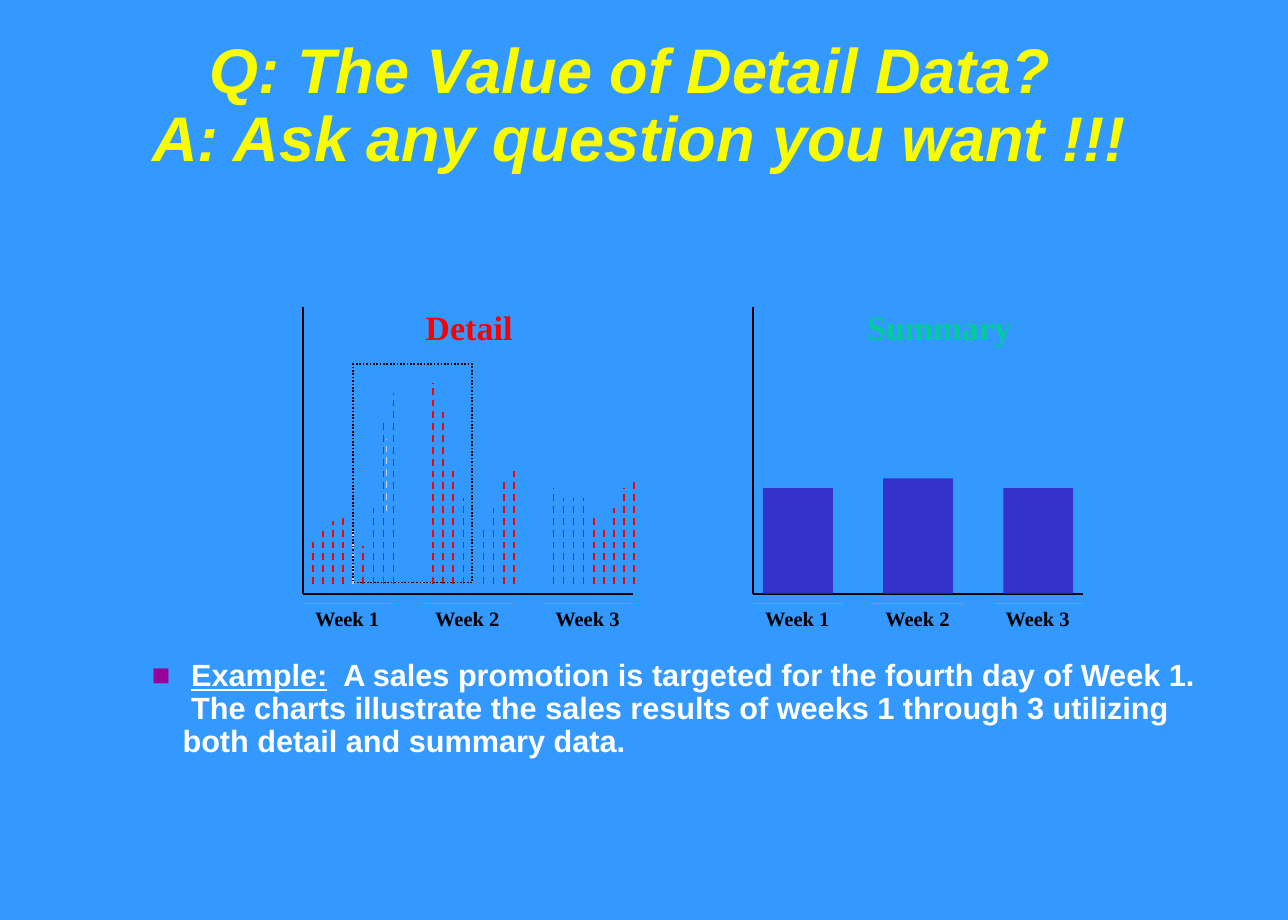
from pptx import Presentation
from pptx.dml.color import RGBColor
from pptx.enum.dml import MSO_LINE
from pptx.enum.shapes import MSO_CONNECTOR, MSO_SHAPE
from pptx.enum.text import MSO_ANCHOR, PP_ALIGN
from pptx.oxml.ns import qn
from pptx.util import Inches, Pt
from lxml.etree import SubElement

SKY = RGBColor(0x33, 0x99, 0xFF)
YELLOW = RGBColor(0xFA, 0xFD, 0x00)
WHITE = RGBColor(0xFF, 0xFF, 0xFF)
BLACK = RGBColor(0x00, 0x00, 0x00)
GRAY = RGBColor(0x96, 0x96, 0x96)
RED = RGBColor(0xFA, 0x00, 0x00)
LILAC = RGBColor(0xCC, 0xCC, 0xFF)
GREEN = RGBColor(0x00, 0xCC, 0x99)
BLUE = RGBColor(0x33, 0x33, 0xCC)

deck = Presentation()
deck.slide_width, deck.slide_height = Inches(10.5), Inches(7.5)
page = deck.slides.add_slide(deck.slide_layouts[6])
page.background.fill.solid()
page.background.fill.fore_color.rgb = SKY


def add_line(x1, y1, x2, y2, color, dash=None):
    line = page.shapes.add_connector(
        MSO_CONNECTOR.STRAIGHT, Inches(x1), Inches(y1), Inches(x2), Inches(y2))
    line.line.color.rgb = color
    line.line.width = Pt(1)
    if dash:
        line.line.dash_style = dash
    SubElement(line._element.spPr, qn("a:effectLst"))


def add_text(text, left, top, width, height, font, size, color, wrap=False):
    box = page.shapes.add_textbox(Inches(left), Inches(top), Inches(width), Inches(height))
    box.text_frame.word_wrap = wrap
    para = box.text_frame.paragraphs[0]
    para.text = text
    para.font.name = font
    para.font.size = Pt(size)
    para.font.bold = True
    para.font.color.rgb = color
    return box, para


# Title
title, para = add_text("Q: The Value of Detail Data? \vA: Ask any question you want !!!",
                       0.42, 0.42, 9.58, 0.9, "Arial", 37, YELLOW, wrap=True)
title.text_frame.vertical_anchor = MSO_ANCHOR.MIDDLE
para.alignment = PP_ALIGN.CENTER
para.line_spacing = 0.9
para.font.italic = True

# Example paragraph with a square bullet
example, para = add_text(" ", 1.14, 5.33, 8.78, 1, "Arial", 18, WHITE, wrap=True)
para.line_spacing = 0.9
para.space_before = Pt(6.8)
span = para.add_run()
span.text = "Example:"
span.font.underline = True
span = para.add_run()
span.text = ("  A sales promotion is targeted for the fourth day of Week 1.  "
             " The charts illustrate the sales results of weeks 1 through 3 utilizing "
             "both detail and summary data.")
props = para._p.get_or_add_pPr()
props.set("marL", str(Inches(0.25)))
props.set("indent", str(Inches(-0.25)))
bullet_color = SubElement(props, qn("a:buClr"))
SubElement(bullet_color, qn("a:srgbClr")).set("val", "990099")
SubElement(props, qn("a:buFont")).set("typeface", "Arial")
SubElement(props, qn("a:buChar")).set("char", "■")
props.append(props.find(qn("a:defRPr")))  # schema order: after the bullet

# Axes, week rules and week labels of both charts
DETAIL_LEFT, SUMMARY_LEFT = 2.47, 6.14
AXIS_TOP, AXIS_Y, AXIS_LENGTH = 2.5, 4.84, 2.69
WEEK_STEP, WEEK_WIDTH = 0.98, 0.73
for chart_left in (DETAIL_LEFT, SUMMARY_LEFT):
    add_line(chart_left, AXIS_TOP, chart_left, AXIS_Y, BLACK)
    add_line(chart_left, AXIS_Y, chart_left + AXIS_LENGTH, AXIS_Y, BLACK)
    for week in range(3):
        left = chart_left + week * WEEK_STEP
        add_line(left, 4.92, left + WEEK_WIDTH, 4.92, GRAY)
        add_text(f"Week {week + 1}", left, 4.89, WEEK_WIDTH, 0.3,
                 "Times New Roman", 12, BLACK)

# Chart headings
add_text("Detail", 3.37, 2.45, 0.91, 0.43, "Times New Roman", 20, RED)
add_text("Summary", 6.97, 2.45, 1.38, 0.43, "Times New Roman", 20, GREEN)

# Detail: nine dashed lines a week, given by their tops
DAY_STEP = 0.082
detail_tops = [
    [4.42, 4.33, 4.25, 4.21, 4.33, 4.45, 4.14, 3.43, 3.2],
    [3.12, 3.36, 3.82, 4.06, None, 4.29, 4.14, 3.9, 3.82],
    [3.98, 4.06, 4.06, 4.06, 4.21, 4.29, 4.14, 3.98, 3.9],
]
for week, tops in enumerate(detail_tops):
    for day, top in enumerate(tops, start=1):
        if top is None:
            continue
        x = DETAIL_LEFT + week * WEEK_STEP + day * DAY_STEP
        color = LILAC if (week, day) == (0, 5) else RED
        add_line(x, 4.76, x, top, color, MSO_LINE.DASH)
add_line(3.15, 4.17, 3.15, 3.58, LILAC, MSO_LINE.DASH)

# Dotted frame around the promotion
frame = page.shapes.add_shape(MSO_SHAPE.RECTANGLE, Inches(2.88), Inches(2.97),
                              Inches(0.97), Inches(1.78))
frame.shadow.inherit = False
frame.fill.background()
frame.line.color.rgb = BLACK
frame.line.width = Pt(1)
frame.line.dash_style = MSO_LINE.ROUND_DOT

# Summary: one bar a week
for week, top in enumerate((3.98, 3.9, 3.98)):
    bar = page.shapes.add_shape(
        MSO_SHAPE.RECTANGLE, Inches(SUMMARY_LEFT + 0.08 + week * WEEK_STEP), Inches(top),
        Inches(0.57), Inches(AXIS_Y - top))
    bar.shadow.inherit = False
    bar.fill.solid()
    bar.fill.fore_color.rgb = BLUE
    bar.line.fill.background()

deck.save("out.pptx")
